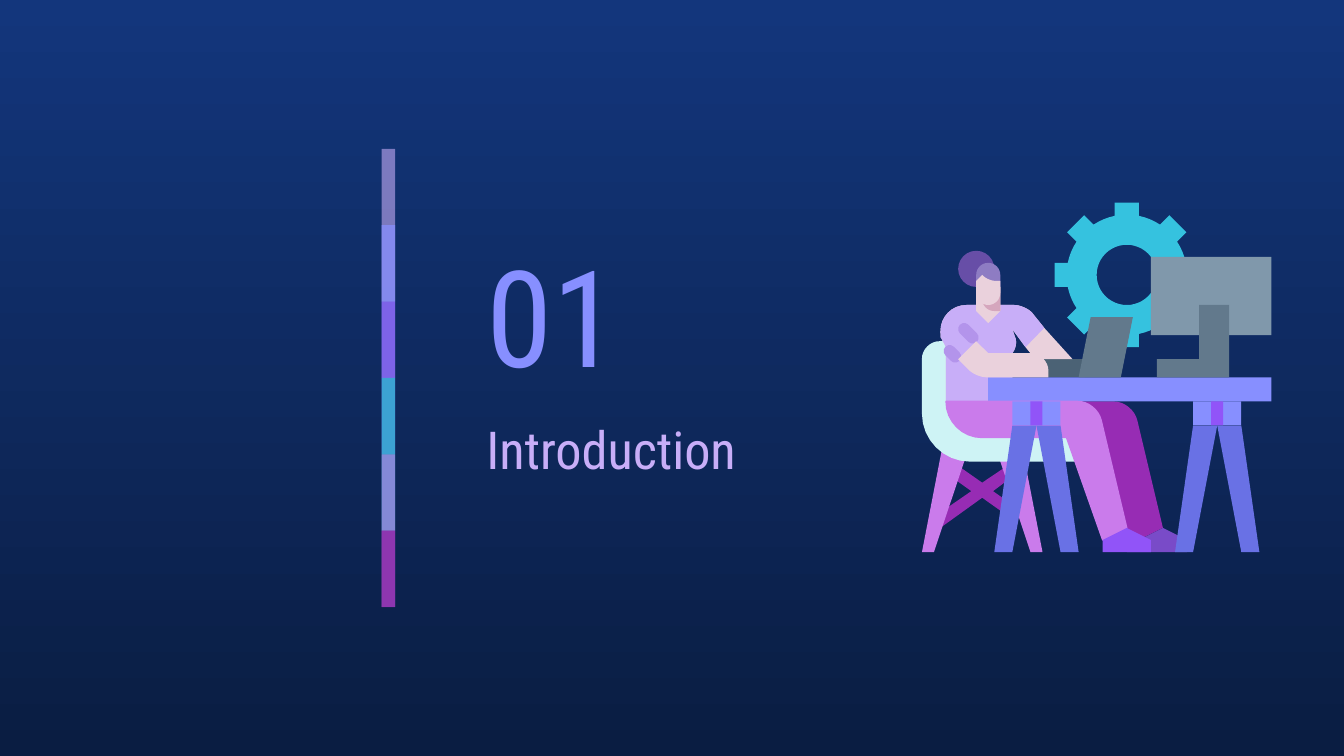
from dataclasses import dataclass
from math import asin, cos, hypot, pi, sin

from lxml.etree import SubElement
from pptx import Presentation
from pptx.dml.color import RGBColor
from pptx.enum.shapes import MSO_SHAPE as Preset
from pptx.enum.text import MSO_ANCHOR as Anchor, MSO_AUTO_SIZE as AutoSize, PP_ALIGN as Align
from pptx.oxml.ns import qn
from pptx.util import Inches, Pt


@dataclass(frozen=True)
class Theme:
    font: str = "Roboto Condensed"
    number_size: int = 72
    heading_size: int = 28
    sky: str = "13367C"
    night: str = "0A1D42"
    periwinkle: str = "878FFF"
    indigo: str = "6971E5"
    lilac: str = "C8AEF8"
    cuff: str = "B394EB"
    violet: str = "9154F8"
    dark_violet: str = "794BC8"
    orchid: str = "CA7BEB"
    plum: str = "972CB4"
    cyan: str = "35C2DF"
    ice: str = "CEF3F5"
    skin: str = "EAD1DC"
    skin_shade: str = "D5A6BD"
    hair: str = "8E7CC3"
    bun: str = "674EA7"
    steel: str = "8098AB"
    slate: str = "62798C"
    dark_slate: str = "4B6275"


def rounded(points, steps=8):
    """Replace each (x, y, reach) corner by a curve that starts and ends at that reach."""
    outline = []
    for index, (x, y, *reach) in enumerate(points):
        if not reach:
            outline.append((x, y))
            continue
        ends = []
        for neighbour in (points[index - 1], points[(index + 1) % len(points)]):
            dx, dy = neighbour[0] - x, neighbour[1] - y
            share = reach[0] / hypot(dx, dy)
            ends.append((dx * share, dy * share))
        (ax, ay), (bx, by) = ends
        for step in range(steps + 1):
            t = step / steps
            start = (1 - t) ** 3 + 3 * 0.45 * t * (1 - t) ** 2
            end = t ** 3 + 3 * 0.45 * t ** 2 * (1 - t)
            outline.append((x + ax * start + bx * end, y + ay * start + by * end))
    return outline


def polar(center, radius, angle):
    return center[0] + radius * cos(angle), center[1] + radius * sin(angle)


class SlideBuilder:
    """Text and bars use percent of the slide; the drawing uses a 58 by 58 grid."""

    def __init__(self, presentation, theme):
        self.theme = theme
        self.width, self.height = presentation.slide_width, presentation.slide_height
        self.slide = presentation.slides.add_slide(presentation.slide_layouts[5])
        self.shapes = self.slide.shapes
        self.cell = self.width * 0.26 / 58
        self.grid_left, self.grid_top = self.width * 0.686, self.height * 0.268

    def percent(self, left, top, width, height):
        return [int(value * side / 100) for value, side in
                zip((left, top, width, height), (self.width, self.height) * 2)]

    def on_grid(self, x, y):
        return self.grid_left + x * self.cell, self.grid_top + y * self.cell

    def background(self, top, bottom):
        fill = self.slide.background.fill
        fill.gradient()
        fill.gradient_angle = 270
        for stop, position, color in zip(fill.gradient_stops, (0, 1), (top, bottom)):
            stop.position = position
            stop.color.rgb = RGBColor.from_string(color)

    def set_text(self, shape, box, text, size, color, anchor):
        shape.left, shape.top, shape.width, shape.height = self.percent(*box)
        frame = shape.text_frame
        frame.text = text
        frame.word_wrap = True
        frame.auto_size = AutoSize.NONE
        frame.vertical_anchor = anchor
        frame.margin_left = frame.margin_right = Inches(0.1)
        frame.margin_top = frame.margin_bottom = Inches(0.1)
        paragraph = frame.paragraphs[0]
        paragraph.alignment = Align.LEFT
        font = paragraph.runs[0].font
        font.name, font.size = self.theme.font, Pt(size)
        font.color.rgb = RGBColor.from_string(color)

    def title(self, box, text, size, color):
        self.set_text(self.shapes.title, box, text, size, color, Anchor.MIDDLE)

    def text(self, box, text, size, color):
        self.set_text(self.shapes.add_textbox(0, 0, 0, 0), box, text, size, color, Anchor.TOP)

    def paint(self, shape, color, opacity=100, line=None):
        shape.shadow.inherit = False
        shape.fill.solid()
        shape.fill.fore_color.rgb = RGBColor.from_string(color)
        if opacity < 100:
            rgb = shape.element.spPr.find(".//" + qn("a:srgbClr"))
            SubElement(rgb, qn("a:alpha")).set("val", str(opacity * 1000))
        if line:
            shape.line.color.rgb = RGBColor.from_string(line)
            shape.line.width = Pt(0.75)
        else:
            shape.line.fill.background()
        return shape

    def bar(self, box, color, opacity):
        self.paint(self.shapes.add_shape(Preset.RECTANGLE, *self.percent(*box)), color, opacity)

    def block(self, x, y, columns, rows, color, preset=Preset.RECTANGLE):
        left, top = self.on_grid(x, y)
        box = [int(value) for value in (left, top, columns * self.cell, rows * self.cell)]
        return self.paint(self.shapes.add_shape(preset, *box), color)

    def pill(self, x, y, columns, rows, color):
        shape = self.block(x, y, columns, rows, color, Preset.ROUNDED_RECTANGLE)
        shape.adjustments[0] = 0.5
        shape.rotation = 45

    def outline(self, color, *contours, line=None):
        first, *others = [[self.on_grid(*point) for point in rounded(contour)]
                          for contour in contours]
        builder = self.shapes.build_freeform(*first[0])
        builder.add_line_segments(first[1:], close=True)
        for contour in others:
            builder.move_to(*contour[0])
            builder.add_line_segments(contour[1:], close=True)
        self.paint(builder.convert_to_shape(), color, line=line)

    def gear(self, center, color, teeth=8):
        rim, tip, half_width, hole = 10, 12, 2, 5
        root, corner = asin(half_width / rim), asin(half_width / hypot(tip, half_width))
        pitch = 2 * pi / teeth
        contour = []
        for tooth in range(teeth):
            angle = tooth * pitch
            contour += [polar(center, hypot(tip, half_width), angle + side * corner)
                        for side in (-1, 1)]
            contour += [polar(center, rim, angle + root + (pitch - 2 * root) * step / 4)
                        for step in range(5)]
        opening = [polar(center, hole, -2 * pi * step / 48) for step in range(48)]
        self.outline(color, contour, opening)

    def trestle(self, x):
        theme = self.theme
        self.block(x, 33, 8, 4, theme.periwinkle)
        self.block(x + 3, 33, 2, 4, theme.violet)
        for top, foot in ((x, x - 3), (x + 4, x + 8)):
            self.outline(theme.indigo, [(top, 37), (foot, 58), (foot + 3, 58), (top + 4, 37)])


def draw_worker(page, theme):
    page.gear((34, 12), theme.cyan)
    page.block(20, 26, 7, 3, theme.dark_slate)
    # chair
    page.outline(theme.plum, [(5.6, 43.4), (4.4, 45.2), (8.2, 47.9), (1.8, 52.3), (2.9, 54.1),
                              (10, 49), (13.8, 51.7), (14.9, 50.1), (11.8, 47.9),
                              (15.4, 45.2), (14.3, 43.6), (10, 46.5)])
    page.outline(theme.orchid, [(12, 40), (18, 58), (20, 58), (16.5, 40)])
    page.outline(theme.orchid, [(3.5, 40), (0, 58), (2, 58), (8, 40)])
    page.outline(theme.ice, [(0, 23, 3), (0, 43, 8), (27, 43), (27, 38), (5, 38, 5), (5, 23)])
    # far leg, arms and shirt
    page.outline(theme.plum, [(10, 33), (10, 39, 6), (30, 39), (34, 56), (36, 56), (40, 54),
                              (35, 33, 3.2)])
    page.outline(theme.dark_violet, [(40, 54), (36, 56), (34, 56), (34, 58), (44, 58), (44, 56)])
    torso = [(3, 17, 4.4), (3.1, 22.3), (4, 24), (4, 33), (15, 33), (15, 25), (15.7, 24, 0.9),
             (15.6, 22.7), (15, 21), (17.2, 24)]
    sleeve = [(20.3, 20.8), (18.3, 18.3), (17, 17, 1.7)]
    page.outline(theme.skin, torso + [(18.8, 26), (25, 26)] + sleeve)
    page.outline(theme.lilac, torso + sleeve)
    page.block(11, 29, 47, 4, theme.periwinkle)
    page.pill(3.4, 24.1, 3.3, 2, theme.cuff)
    page.pill(5.7, 20.7, 4, 2, theme.cuff)
    page.outline(theme.skin, [(9, 14), (9, 18), (11, 20), (13, 18), (13, 14)])
    page.outline(theme.skin, [(9, 23), (6, 26), (9, 29, 1.7), (21, 29), (21, 25, 3), (11, 25)])
    page.outline(theme.slate, [(28, 19), (26, 29), (33, 29), (35, 19)])
    # near leg
    page.outline(theme.orchid, [(4, 33), (4, 39, 6), (24, 39), (30, 56), (34, 54),
                                (29, 33, 3.2)], line=theme.orchid)
    page.outline(theme.violet, [(34, 54), (30, 56), (30, 58), (38, 58), (38, 56)])
    # monitor and desk legs
    page.block(38, 9, 20, 13, theme.steel)
    page.outline(theme.slate, [(46, 17), (46, 26), (39, 26), (39, 29), (51, 29), (51, 17)])
    for x in (45, 15):
        page.trestle(x)
    # head
    page.outline(theme.skin_shade, [(10, 14), (10, 18, 2), (13, 18), (13, 14)])
    page.block(6, 8, 6, 6, theme.bun, Preset.OVAL)
    page.outline(theme.hair, [(9, 14), (9, 10, 2), (13, 10, 2), (13, 14)])
    page.outline(theme.skin, [(10, 12), (9, 13), (9, 17, 2), (13, 17, 2), (13, 13), (11, 13, 1.2)])


def main():
    presentation = Presentation()
    presentation.slide_width = Inches(10)
    presentation.slide_height = presentation.slide_width * 9 // 16
    theme = Theme()
    page = SlideBuilder(presentation, theme)
    page.background(theme.sky, theme.night)
    page.title((35.2, 29.5, 17.5, 24), "01", theme.number_size, theme.periwinkle)
    page.text((35.2, 53.4, 28.7, 17), "Introduction", theme.heading_size, theme.lilac)
    draw_worker(page, theme)
    bars = [(theme.lilac, 59), (theme.periwinkle, 74), (theme.violet, 53),
            (theme.cyan, 76), (theme.orchid, 56), (theme.plum, 74)]
    step = 10.1
    for index, (color, opacity) in enumerate(bars):
        spans = min(2, len(bars) - index)
        page.bar((28.4, 19.7 + index * step, 1, spans * step), color, opacity)
    presentation.save("out.pptx")


if __name__ == "__main__":
    main()
